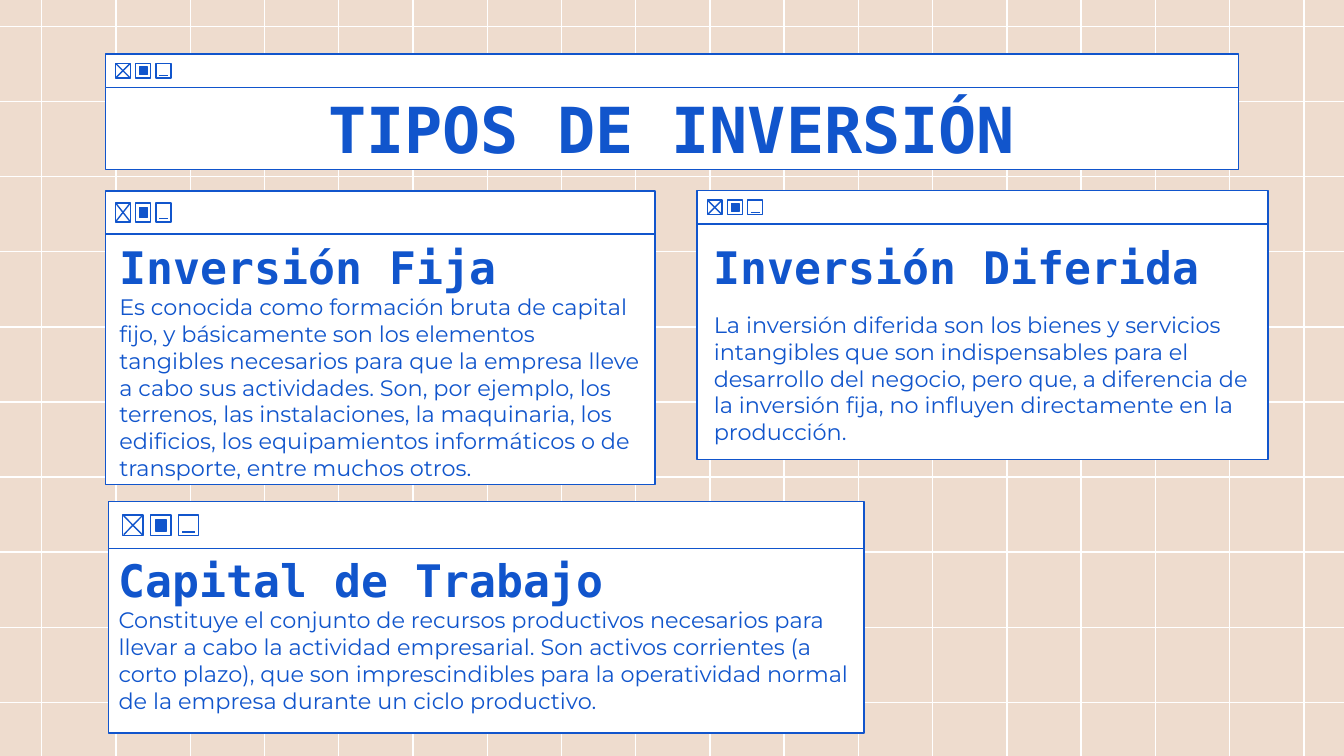
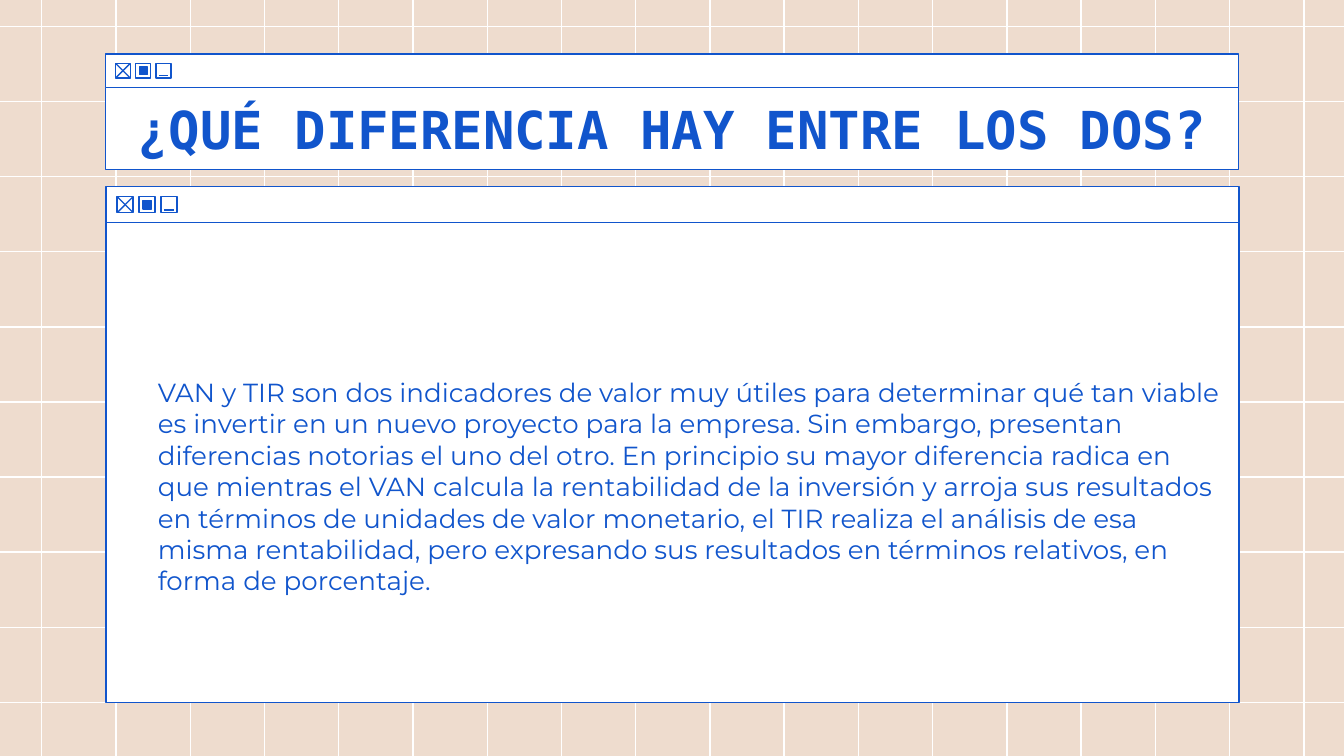
from dataclasses import dataclass

import pptx
import pptx.dml.color
import pptx.enum.shapes
import pptx.enum.text
import pptx.oxml
import pptx.util
from pptx.enum.text import MSO_ANCHOR, PP_ALIGN

Pt = pptx.util.Pt

COLORS = {"sand": "EEDCCE", "white": "FFFFFF", "blue": "1155CC"}
HEAD_FONT = "DejaVu Sans Mono"
BODY_FONT = "Montserrat"
LINE_WIDTH = 0.75
WIDTH, HEIGHT = 720, 405


@dataclass
class Window:
    """Frame with a title bar; its buttons scale with the bar height."""
    left: float
    top: float
    width: float
    bar: float = 18
    body: float = 0
    scale_x: float = 1


@dataclass
class TextBox:
    left: float
    top: float
    width: float
    height: float


@dataclass
class Panel:
    window: Window
    box: TextBox
    heading: str
    text: str
    gap: float = 0


TITLE_BAR = Window(56.4, 28.9, 607)
TITLE_BOX = TextBox(56.4, 46.9, 607, 43.9)

PANELS = [
    Panel(Window(58.2, 268.8, 404.7, 25.2, 98.7, 1.37), TextBox(56.4, 288.7, 406.8, 110.2),
          "Capital de Trabajo",
          "Constituye el conjunto de recursos productivos necesarios para llevar a cabo la "
          "actividad empresarial. Son activos corrientes (a corto plazo), que son "
          "imprescindibles para la operatividad normal de la empresa durante un ciclo "
          "productivo."),
    Panel(Window(56.4, 102.3, 294.6, 23, 134.4), TextBox(56.9, 121, 294.5, 129.6),
          "Inversión Fija",
          "Es conocida como formación bruta de capital fijo, y básicamente son los elementos "
          "tangibles necesarios para que la empresa lleve a cabo sus actividades. Son, por "
          "ejemplo, los terrenos, las instalaciones, la maquinaria, los edificios, los "
          "equipamientos informáticos o de transporte, entre muchos otros."),
    Panel(Window(373.4, 102.1, 306, 18, 126), TextBox(375.3, 121, 303.1, 125.3),
          "Inversión Diferida",
          "La inversión diferida son los bienes y servicios intangibles que son "
          "indispensables para el desarrollo del negocio, pero que, a diferencia de la "
          "inversión fija, no influyen directamente en la producción.", gap=9.6),
]

COMPARISON_WINDOW = Window(56.8, 99.9, 607, 19.5, 257, 1.08)
COMPARISON_BOX = TextBox(65.5, 157.4, 597.6, 206.2)
COMPARISON = (
    "VAN y TIR son dos indicadores de valor muy útiles para determinar qué tan viable es "
    "invertir en un nuevo proyecto para la empresa. Sin embargo, presentan diferencias "
    "notorias el uno del otro. En principio su mayor diferencia radica en que mientras el "
    "VAN calcula la rentabilidad de la inversión y arroja sus resultados en términos de "
    "unidades de valor monetario, el TIR realiza el análisis de esa misma rentabilidad, "
    "pero expresando sus resultados en términos relativos, en forma de porcentaje."
)


def rgb(name: str) -> pptx.dml.color.RGBColor:
    return pptx.dml.color.RGBColor.from_string(COLORS[name])


# Basic shapes
def outline(sp, fill: str | None) -> None:
    if fill:
        sp.fill.solid()
        sp.fill.fore_color.rgb = rgb(fill)
    else:
        sp.fill.background()
    sp.line.color.rgb = rgb("blue")
    sp.line.width = Pt(LINE_WIDTH)


def add_rect(shapes, x: float, y: float, w: float, h: float, fill: str | None = None) -> None:
    sp = shapes.add_shape(pptx.enum.shapes.MSO_SHAPE.RECTANGLE, Pt(x), Pt(y), Pt(w), Pt(h))
    sp.shadow.inherit = False
    outline(sp, fill)


def add_line(shapes, x1: float, y1: float, x2: float, y2: float, color: str = "blue"):
    line = shapes.add_connector(pptx.enum.shapes.MSO_CONNECTOR.STRAIGHT,
                                Pt(x1), Pt(y1), Pt(x2), Pt(y2))
    line.line.color.rgb = rgb(color)
    line.line.width = Pt(LINE_WIDTH)
    line.element.spPr.append(pptx.oxml.parse_xml(
        '<a:effectLst xmlns:a="http://schemas.openxmlformats.org/drawingml/2006/main"/>'))
    return line


# Text
def add_text(tf, text: str, *, size: float, font: str = BODY_FONT, bold: bool = False,
             align=PP_ALIGN.LEFT, before: float = 0, indent: float = 0) -> None:
    p = tf.paragraphs[0] if not tf.text else tf.add_paragraph()
    p.alignment = align
    p.space_before = Pt(before)
    if indent:
        p._p.get_or_add_pPr().set("marL", str(Pt(indent)))
    r = p.add_run()
    r.text = text
    r.font.name = font
    r.font.size = Pt(size)
    r.font.bold = bold
    r.font.color.rgb = rgb("blue")


def set_frame(tf, anchor) -> None:
    tf.word_wrap = True
    tf.auto_size = pptx.enum.text.MSO_AUTO_SIZE.NONE
    tf.vertical_anchor = anchor
    tf.margin_left = tf.margin_right = tf.margin_top = tf.margin_bottom = Pt(7.2)


def add_box(s, box: TextBox, anchor=MSO_ANCHOR.TOP):
    sp = s.shapes.add_textbox(Pt(box.left), Pt(box.top), Pt(box.width), Pt(box.height))
    set_frame(sp.text_frame, anchor)
    return sp.text_frame


# Window with close, maximise and minimise buttons
def add_window(s, win: Window) -> None:
    shapes = s.shapes.add_group_shape().shapes
    if win.body:
        add_rect(shapes, win.left, win.top + win.bar, win.width, win.body, "white")
    add_rect(shapes, win.left, win.top, win.width, win.bar, "white")

    kx, ky = win.scale_x, win.bar / 18
    y = win.top + 5 * ky
    close, maximise, minimise = (win.left + (5.5 + 10.85 * i) * kx for i in range(3))
    for x in (close, maximise, minimise):
        add_rect(shapes, x, y, 8 * kx, 8 * ky)
    left, right = close + 0.4 * kx, close + 7.6 * kx
    top, bottom = y + 0.4 * ky, y + 7.6 * ky
    add_line(shapes, left, top, right, bottom)
    add_line(shapes, right, top, left, bottom)
    add_rect(shapes, maximise + 2 * kx, y + 2 * ky, 4.2 * kx, 4.2 * ky, "blue")
    add_line(shapes, minimise + 1.6 * kx, y + 6.6 * ky, minimise + 6.6 * kx, y + 6.6 * ky)


# Shared background: the grid is drawn on a slide and moved to its layout
def add_grid(s) -> None:
    layout = s.slide_layout
    layout.background.fill.solid()
    layout.background.fill.fore_color.rgb = rgb("sand")
    columns = [22.4 + 39.77 * i for i in range(18)]
    rows = [14.1 + 40.25 * i for i in range(10)]
    ends = [(x, 0, x, HEIGHT) for x in columns] + [(WIDTH, y, 0, y) for y in rows]
    for number, points in enumerate(ends, start=100):
        line = add_line(s.shapes, *points, color="white")
        line.element.nvCxnSpPr.cNvPr.set("id", str(number))
        layout.shapes.element.append(line.element)


def add_slide(prs, title: str, size: float):
    s = prs.slides.add_slide(prs.slide_layouts[5])
    sp = s.shapes.title
    sp.left, sp.top = Pt(TITLE_BOX.left), Pt(TITLE_BOX.top)
    sp.width, sp.height = Pt(TITLE_BOX.width), Pt(TITLE_BOX.height)
    outline(sp, "white")
    set_frame(sp.text_frame, MSO_ANCHOR.MIDDLE)
    add_text(sp.text_frame, title, size=size, font=HEAD_FONT, bold=True,
             align=PP_ALIGN.CENTER)
    add_window(s, TITLE_BAR)
    return s


def main() -> None:
    prs = pptx.Presentation()
    prs.slide_width, prs.slide_height = Pt(WIDTH), Pt(HEIGHT)

    # Slide 1: types of investment
    s = add_slide(prs, "TIPOS DE INVERSIÓN", 34)
    add_grid(s)
    for panel in PANELS:
        add_window(s, panel.window)
        tf = add_box(s, panel.box)
        add_text(tf, panel.heading, size=24, font=HEAD_FONT, bold=True)
        add_text(tf, panel.text, size=12, before=panel.gap)

    # Slide 2: difference between the two indicators
    s = add_slide(prs, "¿QUÉ DIFERENCIA HAY ENTRE LOS DOS?", 28)
    add_window(s, COMPARISON_WINDOW)
    tf = add_box(s, COMPARISON_BOX, MSO_ANCHOR.MIDDLE)
    add_text(tf, COMPARISON, size=14, indent=12)

    prs.save("out.pptx")


if __name__ == "__main__":
    main()
